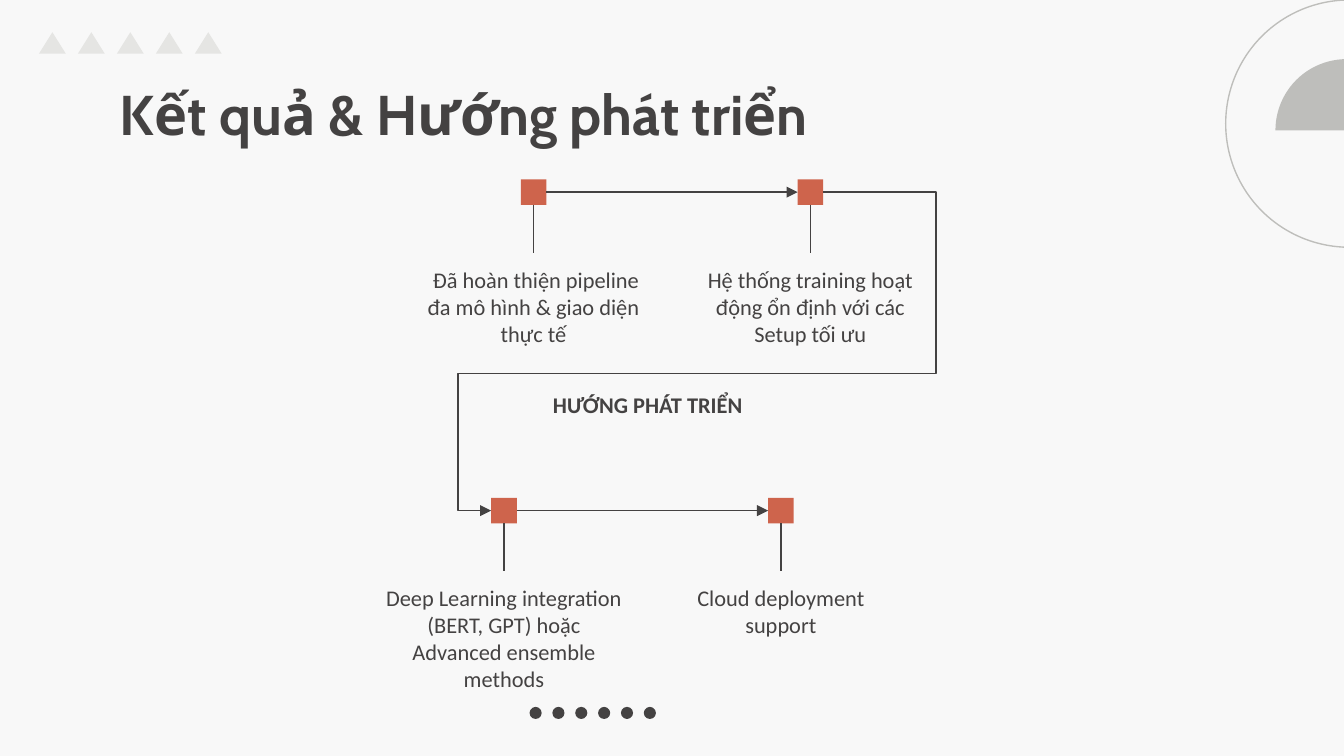
from pptx import Presentation
from pptx.dml.color import RGBColor
from pptx.enum.shapes import MSO_CONNECTOR, MSO_SHAPE
from pptx.enum.text import MSO_ANCHOR, MSO_AUTO_SIZE, PP_ALIGN
from pptx.oxml.ns import qn
from pptx.util import Inches, Pt
from lxml.etree import SubElement

COLORS = {
    "background": "F8F8F8",
    "ink": "444242",
    "marker": "CE644C",
    "gray": "BEBEBB",
    "pale": "E5E5E3",
}
TOP, LEFT, BOTTOM, RIGHT = 0, 1, 2, 3
COLUMN_STEP, ROW_STEP, ROW_SHIFT = 2.06, 2.37, -0.22
FIRST_X, FIRST_Y = 3.97, 1.43
MARKER = 0.19
CAPTION_WIDTHS, CAPTION_HEIGHT, CAPTION_DROP = (1.96, 1.98), 0.93, 0.45
MILESTONES = [
    [
        " Đã hoàn thiện pipeline đa mô hình & giao diện thực tế",
        "Hệ thống training hoạt động ổn định với các Setup tối ưu",
    ],
    [
        "Deep Learning integration (BERT, GPT) hoặc Advanced ensemble methods",
        "Cloud deployment support",
    ],
]


def color(name):
    return RGBColor.from_string(COLORS[name])


def add_shape(page, kind, left, top, width, height, fill):
    shape = page.shapes.add_shape(
        kind, Inches(left), Inches(top), Inches(width), Inches(height))
    shape.shadow.inherit = False
    shape.fill.solid()
    shape.fill.fore_color.rgb = color(fill)
    shape.line.fill.background()
    return shape


def format_text(box, text, size, font, bold=False, align=PP_ALIGN.CENTER):
    frame = box.text_frame
    frame.word_wrap = True
    frame.auto_size = MSO_AUTO_SIZE.NONE
    frame.vertical_anchor = MSO_ANCHOR.TOP
    frame.margin_left = frame.margin_right = Inches(0.1)
    frame.margin_top = frame.margin_bottom = Inches(0.1)
    frame.text = text
    para = frame.paragraphs[0]
    para.alignment = align
    para.font.size = Pt(size)
    para.font.name = font
    para.font.bold = bold
    para.font.color.rgb = color("ink")


def add_label(page, text, left, top, width, height, bold=False):
    box = page.shapes.add_textbox(
        Inches(left), Inches(top), Inches(width), Inches(height))
    format_text(box, text, 12, "Calibri", bold)
    return box


def join(page, start, start_side, end, end_side, arrow=False,
         kind=MSO_CONNECTOR.STRAIGHT):
    connector = page.shapes.add_connector(kind, 0, 0, 0, 0)
    connector.begin_connect(start, start_side)
    connector.end_connect(end, end_side)
    connector.line.color.rgb = color("ink")
    connector.line.width = Pt(0.75)
    properties = connector._element.spPr
    if arrow:
        SubElement(properties.find(qn("a:ln")), qn("a:tailEnd"), type="triangle")
    SubElement(properties, qn("a:effectLst"))
    return connector


def bend(connector, shares):
    geometry = connector._element.spPr.find(qn("a:prstGeom"))
    geometry.set("prst", "bentConnector5")
    guides = geometry.find(qn("a:avLst"))
    for number, share in enumerate(shares, 1):
        SubElement(guides, qn("a:gd"), name=f"adj{number}",
                   fmla=f"val {round(share * 100000)}")


def add_milestone(page, text, column, row):
    center = FIRST_X + column * COLUMN_STEP + row * ROW_SHIFT
    middle = FIRST_Y + row * ROW_STEP
    width = CAPTION_WIDTHS[row]
    marker = add_shape(page, MSO_SHAPE.RECTANGLE, center - MARKER / 2,
                       middle - MARKER / 2, MARKER, MARKER, "marker")
    caption = add_label(page, text, center - width / 2,
                        middle + CAPTION_DROP, width, CAPTION_HEIGHT)
    join(page, marker, BOTTOM, caption, TOP)
    return marker


def add_decoration(page):
    ring = add_shape(page, MSO_SHAPE.OVAL, 9.12, 0, 1.84, 1.84, "gray")
    ring.fill.background()
    ring.line.color.rgb = color("gray")
    ring.line.width = Pt(0.75)
    dome = add_shape(page, MSO_SHAPE.CHORD, 9.49, 0.44, 1.06, 1.06, "gray")
    dome.adjustments[0] = 108
    dome.adjustments[1] = 0
    for index in range(5):
        add_shape(page, MSO_SHAPE.ISOSCELES_TRIANGLE,
                  0.29 + 0.29 * index, 0.24, 0.2, 0.16, "pale")
    for index in range(6):
        add_shape(page, MSO_SHAPE.OVAL,
                  3.94 + 0.17 * index, 5.26, 0.09, 0.09, "ink")


def add_title(page, text):
    title = page.shapes.title
    title.left, title.top = Inches(0.79), Inches(0.49)
    title.width, title.height = Inches(8.43), Inches(0.63)
    format_text(title, text, 30, "Cabin", True, PP_ALIGN.LEFT)


def main():
    deck = Presentation()
    deck.slide_width = Inches(10)
    deck.slide_height = deck.slide_width * 9 // 16
    page = deck.slides.add_slide(deck.slide_layouts[5])
    page.background.fill.solid()
    page.background.fill.fore_color.rgb = color("background")
    add_decoration(page)
    add_title(page, "Kết quả & Hướng phát triển")
    rows = [
        [add_milestone(page, text, column, row) for column, text in enumerate(texts)]
        for row, texts in enumerate(MILESTONES)
    ]
    for first, second in rows:
        join(page, first, RIGHT, second, LEFT, arrow=True)
    turn = join(page, rows[0][1], RIGHT, rows[1][0], LEFT, arrow=True,
                kind=MSO_CONNECTOR.ELBOW)
    bend(turn, [-0.34, 0.57, 1.1])
    add_label(page, "HƯỚNG PHÁT TRIỂN", 3.83, 2.81, 1.98, 0.43, bold=True)
    deck.save("out.pptx")


if __name__ == "__main__":
    main()
